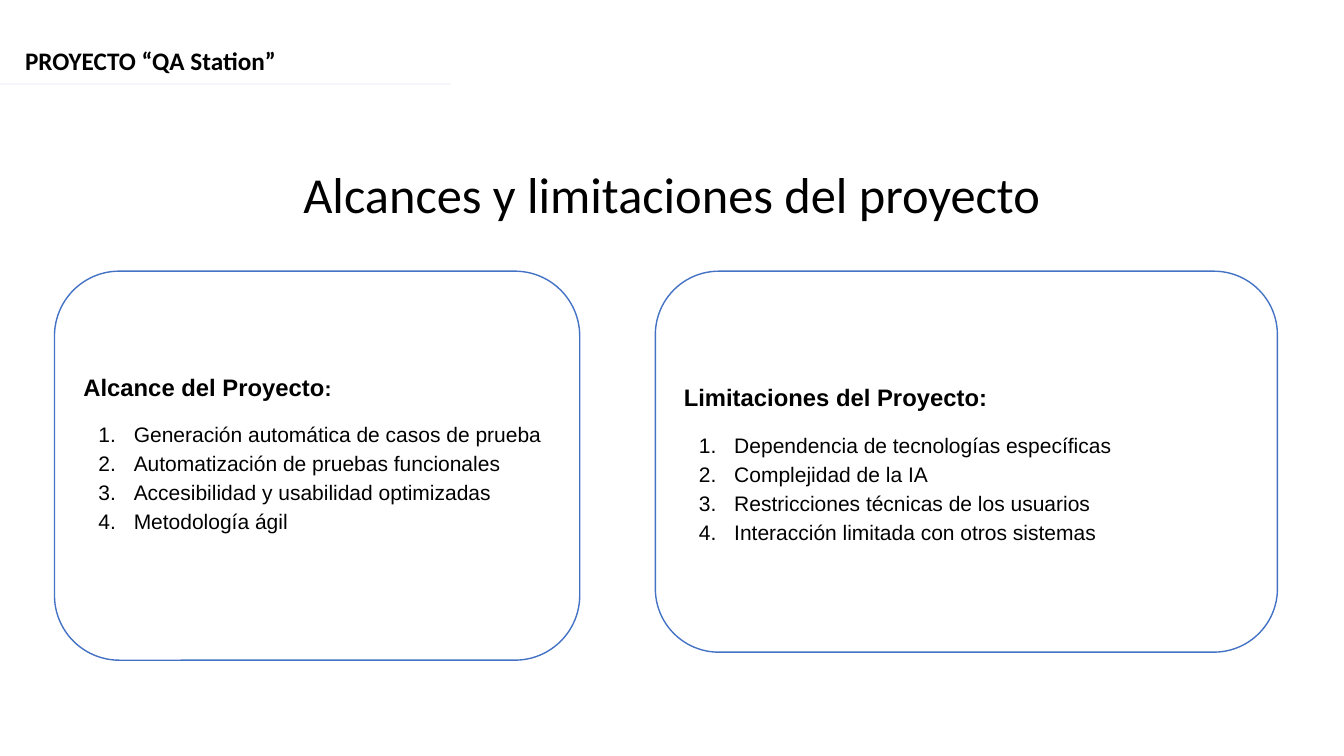
from lxml.etree import SubElement
from pptx import Presentation
from pptx.dml.color import RGBColor
from pptx.enum.shapes import MSO_CONNECTOR as CONN, MSO_SHAPE as SHAPE
from pptx.enum.text import MSO_ANCHOR as ANCHOR, PP_ALIGN as ALIGN
from pptx.oxml.ns import qn
from pptx.util import Inches, Pt

BLACK = RGBColor(0x00, 0x00, 0x00)
WHITE = RGBColor(0xFF, 0xFF, 0xFF)
BLUE = RGBColor(0x44, 0x72, 0xC4)
PALE = RGBColor(0xF5, 0xF7, 0xFC)


def add_run(p, text, font, size, bold=False):
    r = p.add_run()
    r.text = text
    r.font.name = font
    r.font.size = Pt(size)
    r.font.bold = bold
    r.font.color.rgb = BLACK


def number(p):
    pPr = p._p.get_or_add_pPr()
    pPr.set("marL", str(Inches(0.5)))
    pPr.set("indent", str(Inches(-0.35)))
    color = SubElement(pPr, qn("a:buClr"))
    SubElement(color, qn("a:srgbClr"), val=str(BLACK))
    SubElement(pPr, qn("a:buFont"), typeface="Arial")
    SubElement(pPr, qn("a:buAutoNum"), type="arabicPeriod")


prs = Presentation()
prs.slide_width = Inches(13.33)
prs.slide_height = Inches(7.5)
s = prs.slides.add_slide(prs.slide_layouts[6])

# Project name and slide title
headings = [
    ("PROYECTO “QA Station”", 0.15, 0.4, 0.4, 18, True, ALIGN.LEFT),
    ("Alcances y limitaciones del proyecto", 0, 1.57, 0.71, 36, False, ALIGN.CENTER),
]
for text, left, top, height, size, bold, align in headings:
    sp = s.shapes.add_textbox(Inches(left), Inches(top), Inches(13.33), Inches(height))
    tf = sp.text_frame
    tf.word_wrap = True
    p = tf.paragraphs[0]
    p.alignment = align
    add_run(p, text, "Calibri", size, bold)

# Rule under the project name
rule = s.shapes.add_connector(
    CONN.STRAIGHT, Inches(0), Inches(0.83), Inches(4.47), Inches(0.83))
rule.line.color.rgb = PALE
rule.line.width = Pt(1.25)
SubElement(rule._element.spPr, qn("a:effectLst"))

# Cards: left, width, height, bottom inset, heading, colon size, items
cards = [
    (0.54, 5.21, 3.86, 0.34, "Alcance del Proyecto", 15, [
        "Generación automática de casos de prueba",
        "Automatización de pruebas funcionales",
        "Accesibilidad y usabilidad optimizadas",
        "Metodología ágil",
    ]),
    (6.5, 6.17, 3.78, 0.05, "Limitaciones del Proyecto", 17, [
        "Dependencia de tecnologías específicas",
        "Complejidad de la IA",
        "Restricciones técnicas de los usuarios",
        "Interacción limitada con otros sistemas",
    ]),
]
for left, width, height, bottom, heading, colon_size, items in cards:
    sp = s.shapes.add_shape(SHAPE.ROUNDED_RECTANGLE, Inches(left), Inches(2.69),
                            Inches(width), Inches(height))
    sp.shadow.inherit = False
    sp.fill.solid()
    sp.fill.fore_color.rgb = WHITE
    sp.line.color.rgb = BLUE
    sp.line.width = Pt(1)
    tf = sp.text_frame
    tf.word_wrap = True
    tf.vertical_anchor = ANCHOR.MIDDLE
    tf.margin_bottom = Inches(bottom)

    p = tf.paragraphs[0]
    p.alignment = ALIGN.LEFT
    p.line_spacing = 1.15
    p.space_before = Pt(14)
    add_run(p, heading, "Arial", 17, True)
    add_run(p, ":", "Arial", colon_size, True)

    for i, item in enumerate(items):
        p = tf.add_paragraph()
        p.alignment = ALIGN.LEFT
        p.line_spacing = 1.15
        p.space_before = Pt(0 if i else 12)
        number(p)
        add_run(p, item, "Arial", 15)

prs.save("out.pptx")
